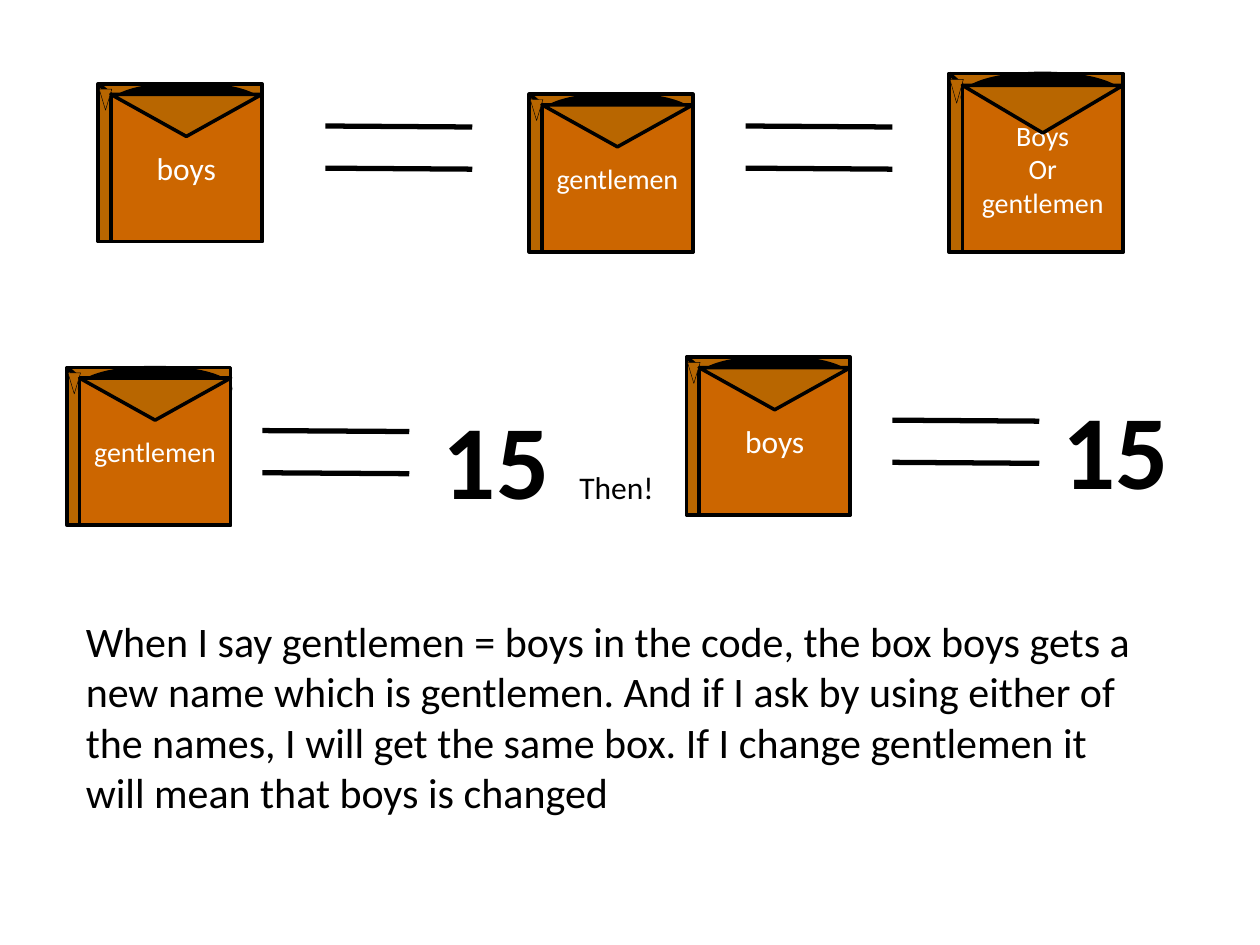
import pptx
import pptx.util
from lxml import etree
from pptx.dml.color import RGBColor
from pptx.enum.shapes import MSO_CONNECTOR, MSO_SHAPE
from pptx.enum.text import MSO_ANCHOR, MSO_AUTO_SIZE, PP_ALIGN
from pptx.oxml.ns import qn

Cm = pptx.util.Cm
Pt = pptx.util.Pt


def color(hex_string):
    return RGBColor.from_string(hex_string)


class SlideBuilder:
    FONT = "Calibri"
    BLACK = "000000"
    WHITE = "FFFFFF"
    FRONT = "CC6600"
    SIDE = "B86600"

    def __init__(self, slide):
        self.slide = slide

    def fill_text(self, frame, lines, size, ink, bold=False, align=None):
        frame.word_wrap = True
        frame.text = "\n".join(lines)
        for paragraph in frame.paragraphs:
            paragraph.font.name = self.FONT
            paragraph.font.size = Pt(size)
            paragraph.font.bold = bold
            paragraph.font.color.rgb = color(ink)
            paragraph.alignment = align

    def text(self, left, top, width, height, words, size, bold=False):
        box = self.slide.shapes.add_textbox(Cm(left), Cm(top), Cm(width), Cm(height))
        self.fill_text(box.text_frame, [words], size, self.BLACK, bold)
        box.text_frame.auto_size = MSO_AUTO_SIZE.SHAPE_TO_FIT_TEXT

    def shape(self, group, kind, left, top, width, height, fill, line=2, rotation=0):
        shape = group.shapes.add_shape(kind, Cm(left), Cm(top), Cm(width), Cm(height))
        shape.shadow.inherit = False
        shape.fill.solid()
        shape.fill.fore_color.rgb = color(fill)
        shape.line.color.rgb = color(self.BLACK)
        shape.line.width = Pt(line)
        shape.rotation = rotation
        return shape

    def line(self, group, start_x, start_y, end_x, end_y, width):
        line = group.shapes.add_connector(
            MSO_CONNECTOR.STRAIGHT, Cm(start_x), Cm(start_y), Cm(end_x), Cm(end_y))
        line.line.color.rgb = color(self.BLACK)
        line.line.width = Pt(width)
        etree.SubElement(line._element.spPr, qn("a:effectLst"))

    def equals(self, left, top):
        group = self.slide.shapes.add_group_shape()
        for bar_top in (top, top + 0.85):
            self.line(group, left, bar_top, left + 2.96, bar_top + 0.02, 3)

    def box(self, left, top, lines, size, width=3.3, height=3.18):
        group = self.slide.shapes.add_group_shape()
        depth_x, depth_y = width / 13, height / 15
        front_left, front_top = left + depth_x, top + depth_y
        front_width, front_height = width - depth_x, height - depth_y
        flap_height = height * 4 / 15
        # Back, dark opening and labelled front
        self.shape(group, MSO_SHAPE.RECTANGLE, left, top, width, height, self.SIDE)
        self.shape(group, MSO_SHAPE.OVAL, front_left, top,
                   front_width, flap_height, self.BLACK)
        front = self.shape(group, MSO_SHAPE.RECTANGLE, front_left, front_top,
                           front_width, front_height, self.FRONT)
        front.text_frame.vertical_anchor = MSO_ANCHOR.MIDDLE
        self.fill_text(front.text_frame, lines, size, self.WHITE, align=PP_ALIGN.CENTER)
        # Corner edge, side fold and front flap
        self.line(group, left, top, front_left, front_top, 2.25)
        self.shape(group, MSO_SHAPE.ISOSCELES_TRIANGLE, left + 0.02, top + height / 30,
                   depth_x, height * 2 / 15, self.SIDE, line=0.25, rotation=180)
        self.shape(group, MSO_SHAPE.ISOSCELES_TRIANGLE, front_left, front_top,
                   front_width, flap_height, self.SIDE, rotation=180)


def main():
    presentation = pptx.Presentation()
    presentation.slide_width = Cm(25.4)
    presentation.slide_height = Cm(19.05)
    builder = SlideBuilder(presentation.slides.add_slide(presentation.slide_layouts[6]))

    # Top row: two names for one box
    builder.box(1.98, 1.69, ["boys"], 18)
    builder.equals(6.56, 2.54)
    builder.box(10.67, 1.9, ["gentlemen"], 16)
    builder.equals(15.03, 2.54)
    builder.box(19.13, 1.48, ["Boys", "Or", "gentlemen"], 16, width=3.51, height=3.6)

    # Explanation
    builder.text(1.48, 12.28, 22.01, 4.36,
                 "When I say gentlemen = boys in the code, the box boys gets a new name "
                 "which is gentlemen. And if I ask by using either of the names, I will "
                 "get the same box. If I change gentlemen it will mean that boys is changed",
                 24)

    # Middle row: both names give the same value
    builder.box(1.35, 7.41, ["gentlemen"], 16)
    builder.equals(5.29, 8.68)
    builder.text(8.68, 7.83, 6.14, 2.82, "15", 60, bold=True)
    builder.text(11.43, 9.31, 2.12, 1.02, "Then!", 18)
    builder.box(13.84, 7.2, ["boys"], 18)
    builder.equals(17.99, 8.47)
    builder.text(21.17, 7.62, 6.14, 2.82, "15", 60, bold=True)

    presentation.save("out.pptx")


if __name__ == "__main__":
    main()
